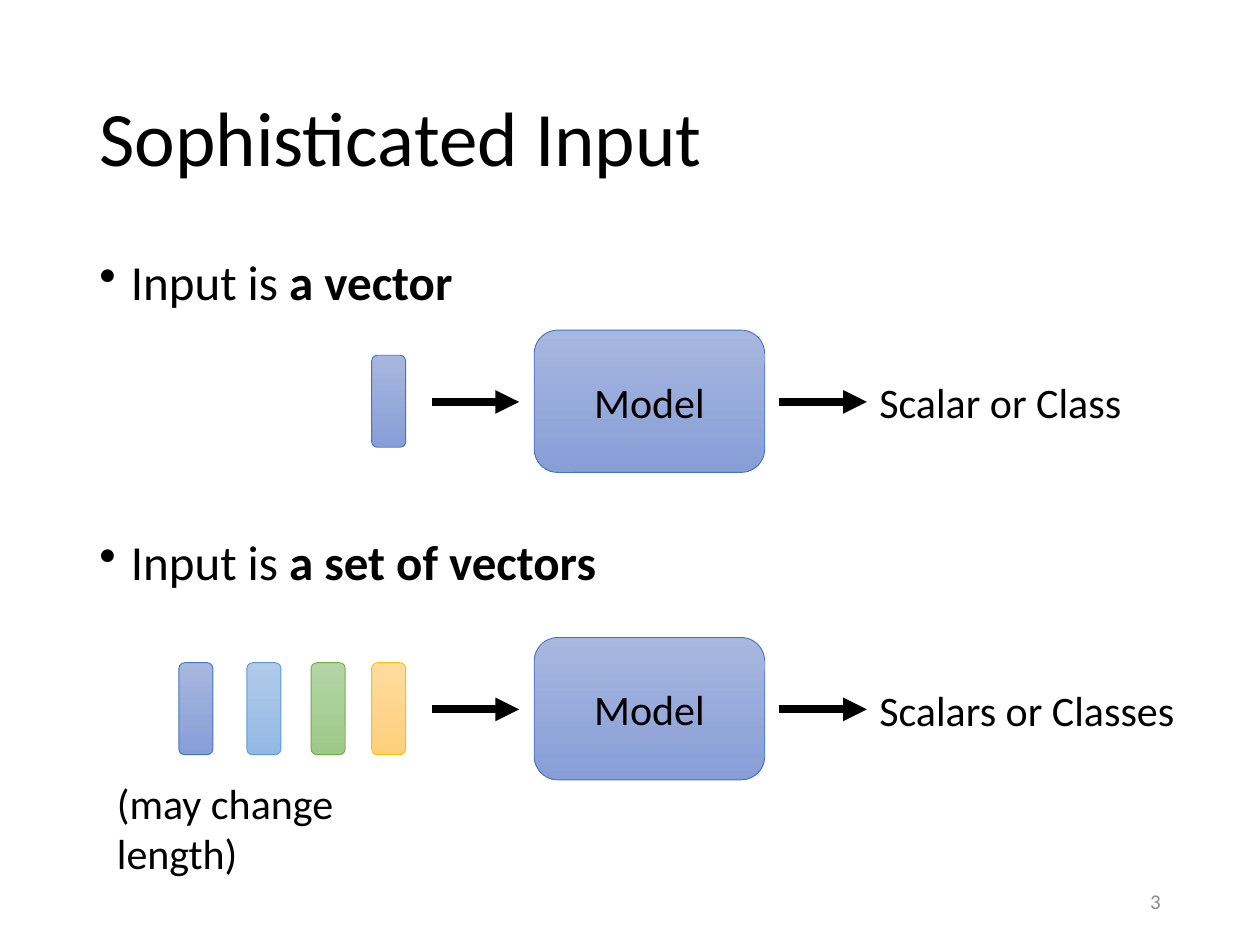
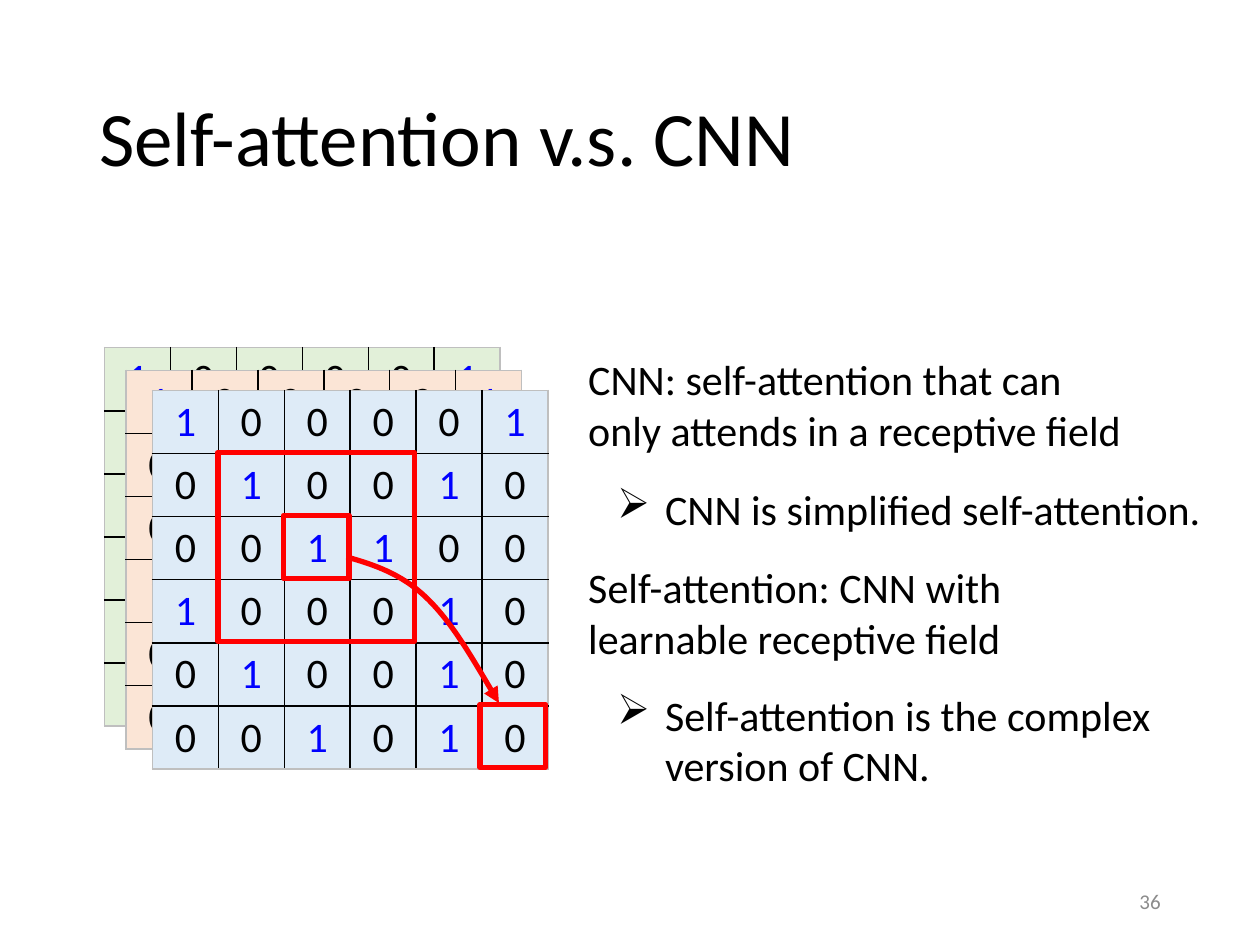
"""Builds two slides on model inputs and on self-attention versus CNN."""
from lxml import etree
from pptx import Presentation
from pptx.dml.color import RGBColor
from pptx.enum.shapes import MSO_CONNECTOR, MSO_SHAPE
from pptx.enum.text import MSO_ANCHOR, PP_ALIGN
from pptx.oxml import parse_xml
from pptx.oxml.ns import nsdecls, qn
from pptx.util import Inches, Pt

STRAIGHT = MSO_CONNECTOR.STRAIGHT
RECTANGLE = MSO_SHAPE.RECTANGLE
ROUNDED = MSO_SHAPE.ROUNDED_RECTANGLE
MIDDLE = MSO_ANCHOR.MIDDLE
TOP = MSO_ANCHOR.TOP
LEFT, CENTER, RIGHT = PP_ALIGN.LEFT, PP_ALIGN.CENTER, PP_ALIGN.RIGHT

FONT = "Calibri"
BLACK = RGBColor(0x00, 0x00, 0x00)
GRAY = RGBColor(0x8C, 0x8C, 0x8C)
RED = RGBColor(0xFF, 0x00, 0x00)
DIGIT_BLUE = RGBColor(0x00, 0x00, 0xFF)
CHANNEL_GREEN = RGBColor(0xE2, 0xF0, 0xD9)
CHANNEL_ORANGE = RGBColor(0xFB, 0xE5, 0xD6)
CHANNEL_BLUE = RGBColor(0xDE, 0xEB, 0xF7)
INDIGO = (RGBColor(0xA8, 0xB7, 0xDF), RGBColor(0x88, 0x9E, 0xD7), RGBColor(0x44, 0x72, 0xC4))
SKY = (RGBColor(0xB1, 0xCB, 0xE9), RGBColor(0x93, 0xB9, 0xE4), RGBColor(0x5B, 0x9B, 0xD5))
GREEN = (RGBColor(0xB5, 0xD5, 0xA7), RGBColor(0x9C, 0xC9, 0x87), RGBColor(0x70, 0xAD, 0x47))
AMBER = (RGBColor(0xFF, 0xDB, 0x9E), RGBColor(0xFF, 0xD0, 0x7C), RGBColor(0xFF, 0xC0, 0x00))


def add_text(page, left, top, width, height, text, size=24, color=BLACK,
             align=LEFT, anchor=TOP, bullet=None, indent=0):
    box = page.shapes.add_textbox(Inches(left), Inches(top), Inches(width), Inches(height))
    frame = box.text_frame
    frame.word_wrap = True
    frame.vertical_anchor = anchor
    frame.text = text
    for para in frame.paragraphs:
        para.alignment = align
        para.font.name = FONT
        para.font.size = Pt(size)
        para.font.color.rgb = color
        if bullet:
            properties = para._p.get_or_add_pPr()
            properties.set("marL", str(Inches(indent)))
            properties.set("indent", str(-Inches(indent)))
            mark = parse_xml(f'<a:buChar {nsdecls("a")} char="{bullet}"/>')
            properties.insert_element_before(mark, "a:tabLst", "a:defRPr", "a:extLst")
    return box


def add_gradient_box(page, left, top, width, height, colors):
    box = page.shapes.add_shape(ROUNDED, Inches(left), Inches(top), Inches(width), Inches(height))
    box.shadow.inherit = False
    box.fill.gradient()
    box.fill.gradient_angle = 270
    for stop, color in zip(box.fill.gradient_stops, colors):
        stop.color.rgb = color
    box.line.color.rgb = colors[2]
    box.line.width = Pt(0.5)
    return box


deck = Presentation()
deck.slide_width = Inches(10)
deck.slide_height = Inches(7.5)
pages = []
for title, number in (("Sophisticated Input", "3"), ("Self-attention v.s. CNN", "36")):
    page = deck.slides.add_slide(deck.slide_layouts[6])
    heading = add_text(page, 0.69, 0.4, 8.62, 1.45, title, size=44, anchor=MIDDLE)
    heading.text_frame.paragraphs[0].line_spacing = 0.9
    add_text(page, 7.06, 6.95, 2.25, 0.4, number, size=12, color=GRAY, align=RIGHT, anchor=MIDDLE)
    pages.append(page)
input_page, attention_page = pages

body = add_text(input_page, 0.69, 2, 8.62, 4.76, "Input is \nInput is ", size=28,
                bullet="•", indent=0.25)
for para, emphasis, gap in zip(body.text_frame.paragraphs, ("a vector", "a set of vectors"), (10, 130)):
    para.line_spacing = 0.9
    para.space_before = Pt(gap)
    span = para.add_run()
    span.text = emphasis
    span.font.bold = True

arrows = []
model_rows = (
    (3.19, "Scalar or Class", ((2.95, INDIGO),)),
    (5.63, "Scalars or Classes", ((1.42, INDIGO), (1.96, SKY), (2.47, GREEN), (2.95, AMBER))),
)
for middle, result, vectors in model_rows:
    model = add_gradient_box(input_page, 4.24, middle - 0.57, 1.83, 1.13, INDIGO)
    model.text_frame.text = "Model"
    model.text_frame.vertical_anchor = MIDDLE
    para = model.text_frame.paragraphs[0]
    para.alignment = CENTER
    para.font.name = FONT
    para.font.size = Pt(24)
    para.font.color.rgb = BLACK
    for left, colors in vectors:
        add_gradient_box(input_page, left, middle - 0.37, 0.27, 0.73, colors)
    label = add_text(input_page, 6.88, middle - 0.25, 2.91, 0.5, result)
    for start, end in ((3.43, 4.12), (6.18, 6.88)):
        arrow = input_page.shapes.add_connector(
            STRAIGHT, Inches(start), Inches(middle), Inches(end), Inches(middle))
        arrow.line.color.rgb = BLACK
        arrow.line.width = Pt(4.5)
        arrows.append(arrow)
    arrow.end_connect(label, 1)
add_text(input_page, 0.83, 6.12, 2.9, 0.91, "(may change length)")

digits = ("100001", "010010", "001100", "100010", "010010", "001010")
last = len(digits) - 1
channels = ((0.83, 2.76, CHANNEL_GREEN), (1, 2.94, CHANNEL_ORANGE), (1.21, 3.1, CHANNEL_BLUE))
for left, top, color in channels:
    graphic = attention_page.shapes.add_table(
        6, 6, Inches(left), Inches(top), Inches(3.14), Inches(3))
    table = graphic.table
    table.first_row = False
    table.horz_banding = False
    for row, line in enumerate(digits):
        for column, digit in enumerate(line):
            cell = table.cell(row, column)
            cell.text = digit
            para = cell.text_frame.paragraphs[0]
            para.alignment = CENTER
            para.font.name = FONT
            para.font.size = Pt(24)
            para.font.color.rgb = DIGIT_BLUE if digit == "1" else BLACK
            outer_sides = {"L": column == 0, "R": column == last, "T": row == 0, "B": row == last}
            for side, outer in outer_sides.items():
                ink = "BFBFBF" if outer else "000000"
                cell._tc.get_or_add_tcPr().append(parse_xml(
                    f'<a:ln{side} {nsdecls("a")} w="12700"><a:solidFill>'
                    f'<a:srgbClr val="{ink}"/></a:solidFill></a:ln{side}>'))
            cell.fill.solid()
            cell.fill.fore_color.rgb = color

for column, row, count in ((2, 2, 1), (5, 5, 1), (1, 1, 3)):
    field = attention_page.shapes.add_shape(
        RECTANGLE, Inches(1.21 + column * 0.52), Inches(3.09 + row * 0.5),
        Inches(count * 0.52), Inches(count * 0.5))
    field.shadow.inherit = False
    field.fill.background()
    field.line.color.rgb = RED
    field.line.width = Pt(3)

curve_points = [(Inches(x), Inches(y)) for x, y in (
    (2.75, 4.42), (2.96, 4.48), (3.18, 4.55), (3.38, 4.74), (3.58, 4.93), (3.77, 5.26), (3.96, 5.58))]
builder = attention_page.shapes.build_freeform(*curve_points[0])
builder.add_line_segments(curve_points[1:], close=False)
curve = builder.convert_to_shape()
curve.shadow.inherit = False
curve.fill.background()
curve.line.color.rgb = RED
curve.line.width = Pt(3)
segments = list(curve._element.iter(qn("a:lnTo")))
outline = segments[0].getparent()
for first in range(0, len(segments), 3):
    bend = etree.SubElement(outline, qn("a:cubicBezTo"))
    for segment in segments[first:first + 3]:
        bend.append(segment[0])
        outline.remove(segment)
arrows.append(curve)

for arrow in arrows:
    properties = arrow._element.spPr
    etree.SubElement(properties.find(qn("a:ln")), qn("a:tailEnd"), type="triangle")
    if properties.find(qn("a:effectLst")) is None:
        etree.SubElement(properties, qn("a:effectLst"))

statements = (
    (2.76, "CNN: self-attention that can only attends in a receptive field",
     3.79, "CNN is simplified self-attention."),
    (4.41, "Self-attention: CNN with learnable receptive field",
     5.42, "Self-attention is the complex version of CNN."),
)
for claim_top, claim, remark_top, remark in statements:
    add_text(attention_page, 4.57, claim_top, 4.59, 0.91, claim)
    add_text(attention_page, 4.8, remark_top, 4.93, 0.91, remark, bullet="➢", indent=0.38)

deck.save("out.pptx")
